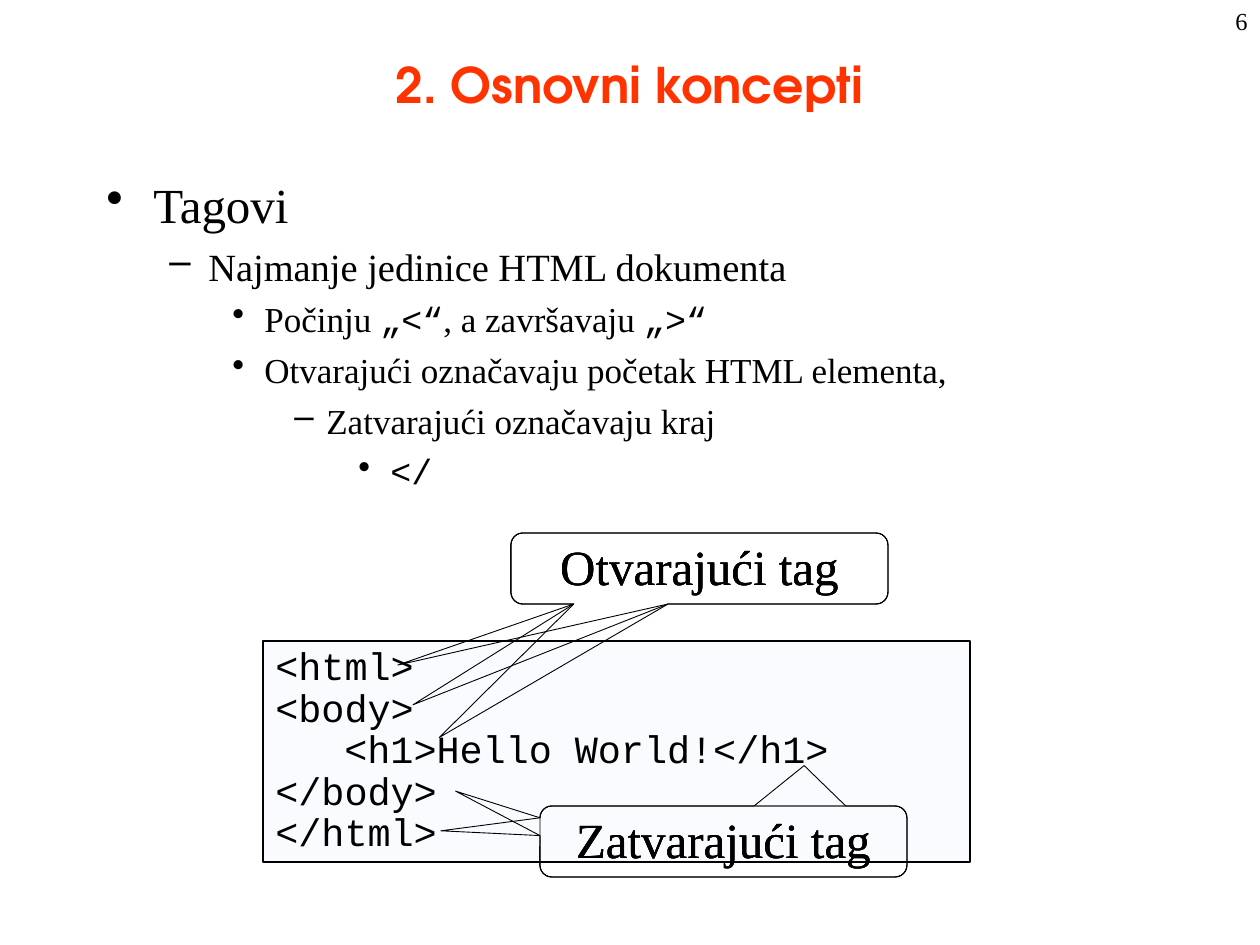
from lxml import etree
from pptx import Presentation
from pptx.dml.color import RGBColor
from pptx.enum.shapes import MSO_SHAPE
from pptx.enum.text import MSO_ANCHOR, PP_ALIGN
from pptx.oxml.ns import qn
from pptx.util import Emu, Pt

RECTANGLE = MSO_SHAPE.RECTANGLE
CALLOUT = MSO_SHAPE.ROUNDED_RECTANGULAR_CALLOUT
TOP, MIDDLE = MSO_ANCHOR.TOP, MSO_ANCHOR.MIDDLE
LEFT, CENTER, RIGHT = PP_ALIGN.LEFT, PP_ALIGN.CENTER, PP_ALIGN.RIGHT

EMU_PER_PX = 914400 / 126
SERIF, MONO, HEADING = "Times New Roman", "Courier New", "TeX Gyre Adventor"
BLACK, ORANGE, PALE_BLUE = "000000", "FF3300", "DDEAFF"

# Left margin, hanging indent (px), space before, text size (pt), bullet
LEVELS = [
    (47, 47, 7, 28, "•"),
    (102, 39, 5.5, 22, "–"),
    (158, 32, 5, 20, "•"),
    (220, 32, 5, 20, "–"),
    (284, 32, 5, 20, "•"),
]
OUTLINE = [
    (0, [("Tagovi", SERIF)]),
    (1, [("Najmanje jedinice HTML dokumenta", SERIF)]),
    (2, [("Počinju ", SERIF), ("„<“", MONO), (", a završavaju ", SERIF), ("„>“", MONO)]),
    (2, [("Otvarajući označavaju početak HTML elementa,", SERIF)]),
    (3, [("Zatvarajući označavaju kraj", SERIF)]),
    (4, [("</", MONO)]),
]
CODE_INDENT = 69
CODE = [
    ("<html>", 0),
    ("<body>", 0),
    ("<h1>Hello World!</h1>", CODE_INDENT),
    ("</body>", 0),
    ("</html>", 0),
]
# Label, box, and the callout tips relative to the box centre
CALLOUTS = [
    ("Otvarajući tag", (511, 533, 377, 71), [(-0.8, 1.36), (-0.76, 1.92), (-0.69, 2.38)]),
    ("Zatvarajući tag", (540, 806, 367, 71), [(-0.73, -0.71), (0.22, -1.07), (-0.77, -0.15)]),
]


def px(length):
    return Emu(round(length * EMU_PER_PX))


def color(value):
    return RGBColor.from_string(value)


def add_text(paragraph, text, font=SERIF, size=28, fill=BLACK, bold=False):
    run = paragraph.add_run()
    run.text = text
    run.font.name = font
    run.font.size = Pt(size)
    run.font.bold = bold
    run.font.color.rgb = color(fill)


def set_indent(paragraph, margin, hanging=0):
    properties = paragraph._p.get_or_add_pPr()
    properties.set("marL", str(px(margin)))
    properties.set("indent", str(px(-hanging)))
    return properties


def set_bullet(paragraph, margin, hanging, bullet):
    properties = set_indent(paragraph, margin, hanging)
    etree.SubElement(properties, qn("a:buChar")).set("char", bullet)


def paragraphs(frame, count):
    """Return the frame's paragraphs after extending them to count."""
    for _ in range(count - 1):
        frame.add_paragraph()
    return frame.paragraphs


def add_text_box(slide, box, anchor=TOP):
    frame = slide.shapes.add_textbox(*map(px, box)).text_frame
    frame.word_wrap = True
    frame.vertical_anchor = anchor
    return frame


def add_line_of_text(slide, box, text, align, anchor=TOP, **style):
    paragraph = add_text_box(slide, box, anchor).paragraphs[0]
    paragraph.alignment = align
    add_text(paragraph, text, **style)


def add_outline(slide, box):
    frame = add_text_box(slide, box)
    for paragraph, (level, runs) in zip(paragraphs(frame, len(OUTLINE)), OUTLINE):
        margin, hanging, space, size, bullet = LEVELS[level]
        paragraph.level = level
        paragraph.space_before = Pt(space)
        set_bullet(paragraph, margin, hanging, bullet)
        for text, font in runs:
            add_text(paragraph, text, font=font, size=size)


def add_outlined_shape(slide, kind, box, line_width):
    shape = slide.shapes.add_shape(kind, *map(px, box))
    shape.shadow.inherit = False
    shape.fill.background()
    shape.line.color.rgb = color(BLACK)
    shape.line.width = Pt(line_width)
    shape.text_frame.word_wrap = True
    shape.text_frame.vertical_anchor = TOP
    return shape


def add_code(slide, box):
    shape = add_outlined_shape(slide, RECTANGLE, box, 1)
    shape.fill.solid()
    shape.fill.fore_color.rgb = color(PALE_BLUE)
    fill_color = shape._element.spPr.find(qn("a:solidFill"))[0]
    etree.SubElement(fill_color, qn("a:alpha")).set("val", "15000")
    for paragraph, (text, margin) in zip(paragraphs(shape.text_frame, len(CODE)), CODE):
        paragraph.alignment = LEFT
        paragraph.line_spacing = 0.9
        set_indent(paragraph, margin)
        add_text(paragraph, text, font=MONO, size=22)


def add_callout(slide, label, box, tip):
    shape = add_outlined_shape(slide, CALLOUT, box, 0.5)
    shape.adjustments[0], shape.adjustments[1] = tip
    paragraph = shape.text_frame.paragraphs[0]
    paragraph.alignment = CENTER
    paragraph.line_spacing = Pt(30)
    add_text(paragraph, label)


def main():
    presentation = Presentation()
    presentation.slide_width, presentation.slide_height = px(1260), px(945)
    slide = presentation.slides.add_slide(presentation.slide_layouts[6])

    add_line_of_text(slide, (94, 10, 1071, 147), "2. Osnovni koncepti", CENTER, MIDDLE,
                     font=HEADING, fill=ORANGE, bold=True)
    add_outline(slide, (94, 168, 1071, 724))
    add_line_of_text(slide, (998, 0, 262, 63), "6", RIGHT, size=14)
    add_code(slide, (263, 641, 707, 221))
    for label, box, tips in CALLOUTS:
        for tip in tips:
            add_callout(slide, label, box, tip)

    presentation.save("out.pptx")


if __name__ == "__main__":
    main()
